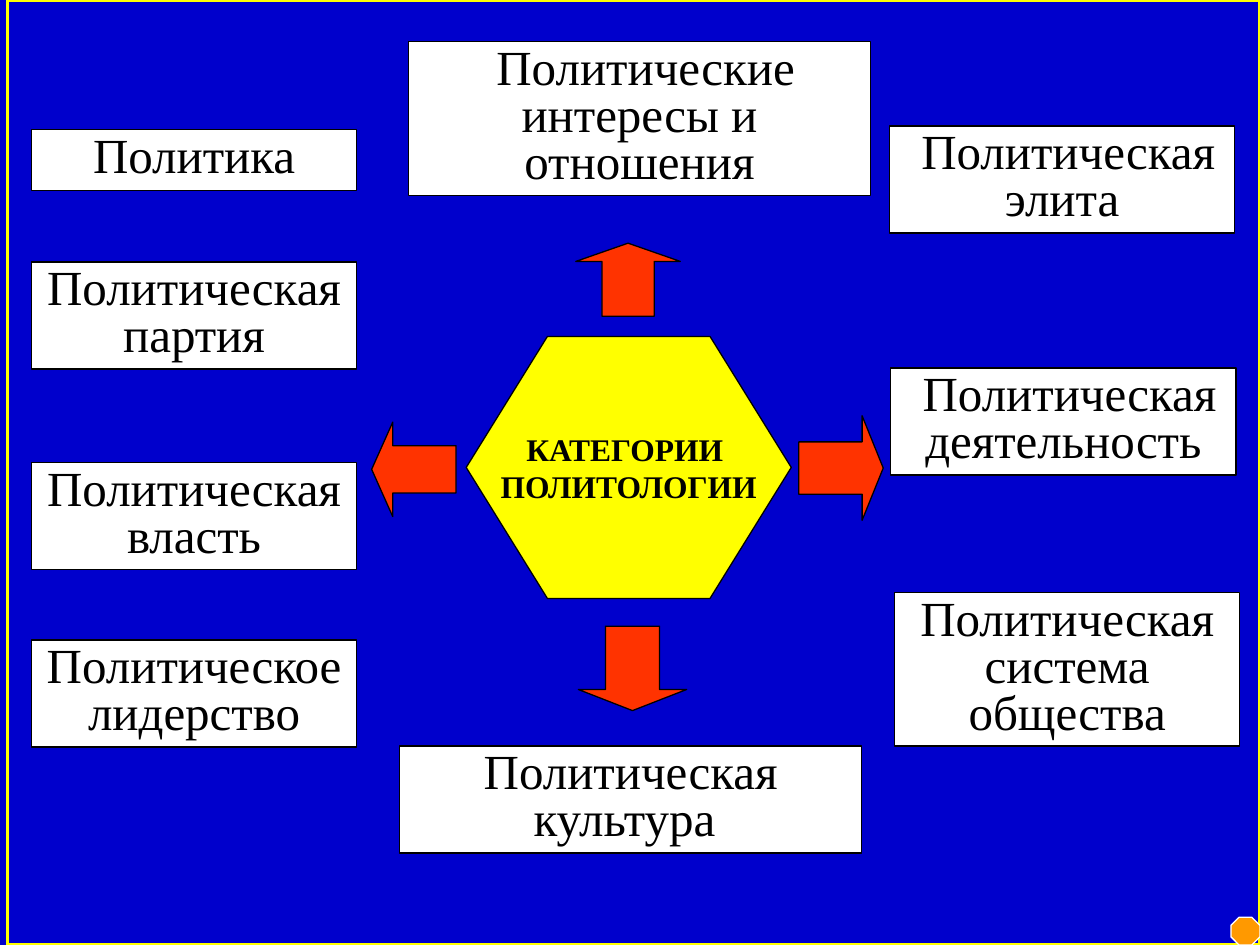
"""Build a slide showing the categories of political science around a hexagon."""
import pptx
import pptx.dml.color
import pptx.enum.shapes
import pptx.enum.text
import pptx.util

Inches = pptx.util.Inches
Pt = pptx.util.Pt
RGBColor = pptx.dml.color.RGBColor
SHAPE = pptx.enum.shapes.MSO_SHAPE
ANCHOR = pptx.enum.text.MSO_ANCHOR
CENTER = pptx.enum.text.PP_ALIGN.CENTER

BLUE = RGBColor(0x00, 0x00, 0xCC)
YELLOW = RGBColor(0xFF, 0xFF, 0x00)
WHITE = RGBColor(0xFF, 0xFF, 0xFF)
BLACK = RGBColor(0x00, 0x00, 0x00)
RED = RGBColor(0xFF, 0x33, 0x00)
ORANGE = RGBColor(0xFF, 0x99, 0x00)
FONT = "Times New Roman"

HUB = ["КАТЕГОРИИ ", "ПОЛИТОЛОГИИ"]
LEFT_WIDTH, MIDDLE_WIDTH, RIGHT_WIDTH = 2.58, 3.67, 2.74
LINE_HEIGHT, BOX_PADDING = 0.37, 0.11

CATEGORIES = [
    ("Политика", 0.25, 1.03, LEFT_WIDTH, 1),
    ("Политическая партия", 0.25, 2.08, LEFT_WIDTH, 2),
    ("Политическая власть", 0.25, 3.67, LEFT_WIDTH, 2),
    ("Политическое лидерство", 0.25, 5.08, LEFT_WIDTH, 2),
    (" Политические интересы и отношения", 3.24, 0.33, MIDDLE_WIDTH, 3),
    ("Политическая культура ", 3.17, 5.92, MIDDLE_WIDTH, 2),
    (" Политическая элита", 7.06, 1, RIGHT_WIDTH, 2),
    (" Политическая деятельность", 7.07, 2.92, RIGHT_WIDTH, 2),
    ("Политическая система общества", 7.1, 4.7, RIGHT_WIDTH, 3),
]
ARROWS = [
    (SHAPE.UP_ARROW, 4.57, 1.93, 0.83, 0.58),
    (SHAPE.DOWN_ARROW, 4.59, 4.97, 0.86, 0.67),
    (SHAPE.LEFT_ARROW, 2.95, 3.35, 0.67, 0.75),
    (SHAPE.RIGHT_ARROW, 6.34, 3.3, 0.67, 0.83),
]


def add_figure(slide, preset, place, fill, line=BLACK, weight=0.75):
    figure = slide.shapes.add_shape(preset, *map(Inches, place))
    figure.shadow.inherit = False
    if fill is None:
        figure.fill.background()
    else:
        figure.fill.solid()
        figure.fill.fore_color.rgb = fill
    figure.line.color.rgb = line
    figure.line.width = Pt(weight)
    return figure


def write(figure, lines, size, bold=False, spacing=None):
    frame = figure.text_frame
    frame.text = "\n".join(lines)
    for paragraph in frame.paragraphs:
        paragraph.alignment = CENTER
        paragraph.line_spacing = spacing
        paragraph.font.name = FONT
        paragraph.font.size = Pt(size)
        paragraph.font.bold = bold
        paragraph.font.color.rgb = BLACK
    return frame


def main():
    deck = pptx.Presentation()
    deck.slide_width, deck.slide_height = Inches(10), Inches(7.5)
    slide = deck.slides.add_slide(deck.slide_layouts[6])
    slide.background.fill.solid()
    slide.background.fill.fore_color.rgb = BLUE

    add_figure(slide, SHAPE.RECTANGLE, (0.06, 0, 9.94, 7.5), None, YELLOW, 2.25)

    for category, left, top, width, line_count in CATEGORIES:
        height = BOX_PADDING + LINE_HEIGHT * line_count
        box = add_figure(slide, SHAPE.RECTANGLE, (left, top, width, height), WHITE)
        frame = write(box, [category], 28, spacing=0.8)
        frame.word_wrap = True
        frame.vertical_anchor = ANCHOR.TOP
        frame.auto_size = pptx.enum.text.MSO_AUTO_SIZE.SHAPE_TO_FIT_TEXT

    hub = add_figure(slide, SHAPE.HEXAGON, (3.7, 2.67, 2.58, 2.08), YELLOW)
    hub.adjustments[0] = 0.31
    frame = write(hub, HUB, 18, bold=True)
    frame.word_wrap = False
    frame.vertical_anchor = ANCHOR.MIDDLE

    for preset, *place in ARROWS:
        arrow = add_figure(slide, preset, place, RED)
        arrow.adjustments[0] = 0.5
        arrow.adjustments[1] = 0.25

    add_figure(slide, SHAPE.OCTAGON, (9.77, 7.28, 0.23, 0.22), ORANGE, WHITE)
    deck.save("out.pptx")


if __name__ == "__main__":
    main()
